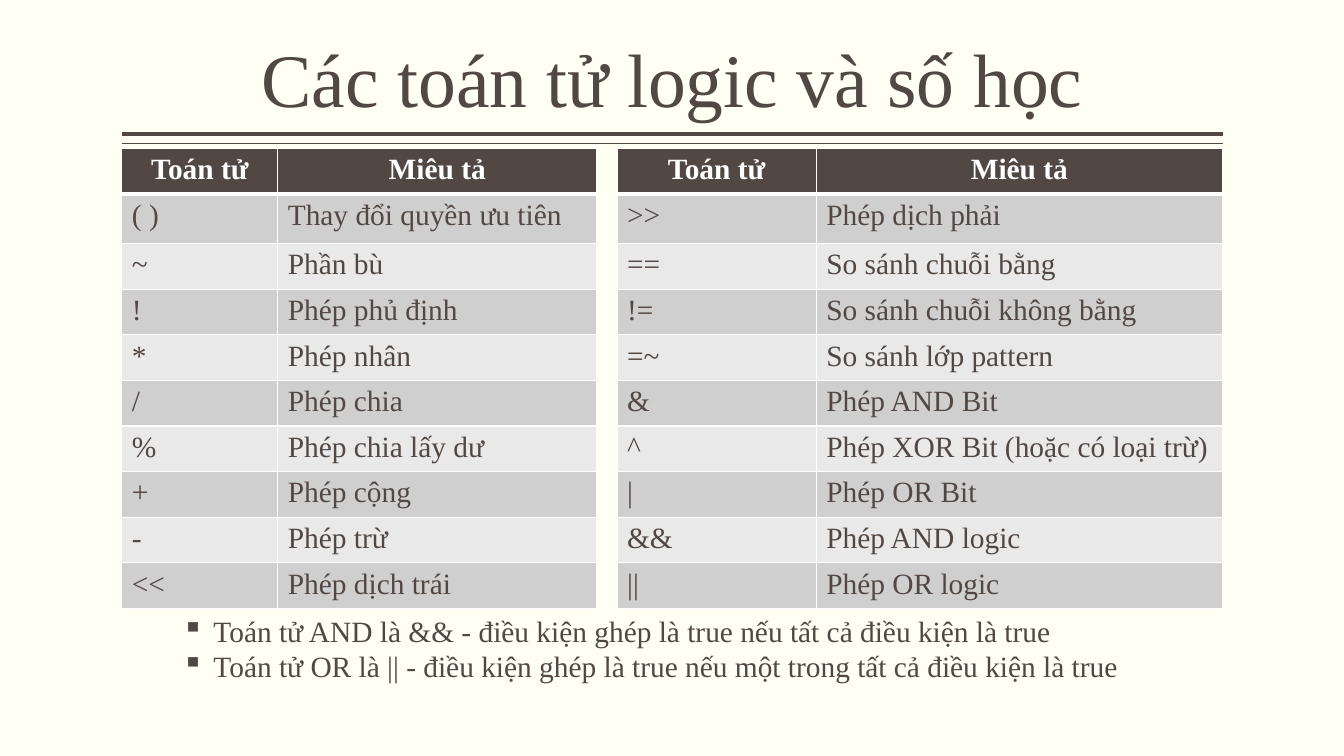
from lxml.etree import SubElement
from pptx import Presentation
from pptx.dml.color import RGBColor
from pptx.enum.shapes import MSO_CONNECTOR
from pptx.enum.text import MSO_ANCHOR, PP_ALIGN
from pptx.oxml.ns import qn
from pptx.util import Cm, Pt

CREAM = RGBColor(0xFF, 0xFF, 0xF3)
BROWN = RGBColor(0x51, 0x48, 0x43)
WHITE = RGBColor(0xFF, 0xFF, 0xFF)
DARK_BAND = RGBColor(0xD0, 0xCF, 0xCF)
LIGHT_BAND = RGBColor(0xE9, 0xE9, 0xE9)

LEFT, WIDTH = 3.07, 27.74
TABLE_TOP = 3.74
ROW_HEIGHT, FIRST_ROW_HEIGHT = 1.15, 1.25

HEADER = ("Toán tử", "Miêu tả")
# left edge, column widths, rows
TABLES = [
    (LEFT, (3.93, 8.04), [
        ("( )", "Thay đổi quyền ưu tiên"),
        ("~", "Phần bù"),
        ("!", "Phép phủ định"),
        ("*", "Phép nhân"),
        ("/", "Phép chia"),
        ("%", "Phép chia lấy dư"),
        ("+", "Phép cộng"),
        ("-", "Phép trừ"),
        ("<<", "Phép dịch trái"),
    ]),
    (15.55, (5.02, 10.24), [
        (">>", "Phép dịch phải"),
        ("==", "So sánh chuỗi bằng"),
        ("!=", "So sánh chuỗi không bằng"),
        ("=~", "So sánh lớp pattern"),
        ("&", "Phép AND Bit"),
        ("^", "Phép XOR Bit (hoặc có loại trừ)"),
        ("|", "Phép OR Bit"),
        ("&&", "Phép AND logic"),
        ("||", "Phép OR logic"),
    ]),
]
NOTES = [
    "Toán tử AND là && - điều kiện ghép là true nếu tất cả điều kiện là true",
    "Toán tử OR là || - điều kiện ghép là true nếu một trong tất cả điều kiện là true",
]


def add_run(p, text, size=21, color=BROWN, bold=False):
    r = p.add_run()
    r.text = text
    r.font.name = "Times New Roman"
    r.font.size = Pt(size)
    r.font.bold = bold
    r.font.color.rgb = color


def add_border(cell, side, width):
    """Draw one white cell edge; side is L, R, T or B."""
    ln = SubElement(cell._tc.get_or_add_tcPr(), qn(f"a:ln{side}"), w=str(Pt(width)))
    fill = SubElement(ln, qn("a:solidFill"))
    SubElement(fill, qn("a:srgbClr"), val=str(WHITE))


prs = Presentation()
prs.slide_width, prs.slide_height = Cm(33.87), Cm(19.05)
s = prs.slides.add_slide(prs.slide_layouts[6])
s.background.fill.solid()
s.background.fill.fore_color.rgb = CREAM

# Double rule under the title
for y, weight in ((3.38, 3), (3.62, 1)):
    rule = s.shapes.add_connector(
        MSO_CONNECTOR.STRAIGHT, Cm(LEFT), Cm(y), Cm(LEFT + WIDTH), Cm(y))
    rule.line.color.rgb = BROWN
    rule.line.width = Pt(weight)
    SubElement(rule._element.spPr, qn("a:effectLst"))

# Title
tf = s.shapes.add_textbox(Cm(LEFT), Cm(0.2), Cm(WIDTH), Cm(3.05)).text_frame
tf.word_wrap = True
tf.vertical_anchor = MSO_ANCHOR.BOTTOM
tf.margin_left = tf.margin_right = 0
p = tf.paragraphs[0]
p.alignment = PP_ALIGN.CENTER
p.line_spacing = 0.9
add_run(p, "Các toán tử logic và số học", size=54)

# Operator tables
for left, col_widths, rows in TABLES:
    heights = [ROW_HEIGHT, FIRST_ROW_HEIGHT] + [ROW_HEIGHT] * (len(rows) - 1)
    table = s.shapes.add_table(
        len(heights), len(col_widths), Cm(left), Cm(TABLE_TOP),
        Cm(sum(col_widths)), Cm(sum(heights))).table
    for column, width in zip(table.columns, col_widths):
        column.width = Cm(width)
    for i, (height, texts) in enumerate(zip(heights, [HEADER] + rows)):
        table.rows[i].height = Cm(height)
        is_header = i == 0
        band = BROWN if is_header else DARK_BAND if i % 2 else LIGHT_BAND
        for j, text in enumerate(texts):
            cell = table.cell(i, j)
            for side in "LR":
                add_border(cell, side, 1)
            add_border(cell, "T", 3 if i == 1 else 1)
            add_border(cell, "B", 3 if is_header else 1)
            cell.fill.solid()
            cell.fill.fore_color.rgb = band
            p = cell.text_frame.paragraphs[0]
            p.alignment = PP_ALIGN.CENTER if is_header else PP_ALIGN.LEFT
            add_run(p, text, color=WHITE if is_header else BROWN, bold=is_header)

# Bulleted notes
tf = s.shapes.add_textbox(Cm(LEFT), Cm(15.32), Cm(WIDTH), Cm(2.06)).text_frame
tf.word_wrap = True
for i, note in enumerate(NOTES):
    p = tf.add_paragraph() if i else tf.paragraphs[0]
    p.level = 1
    pPr = p._p.get_or_add_pPr()
    pPr.set("marL", str(Cm(2.06)))
    pPr.set("indent", str(Cm(-0.79)))
    SubElement(pPr, qn("a:buChar"), char="▪")
    add_run(p, note)

prs.save("out.pptx")
